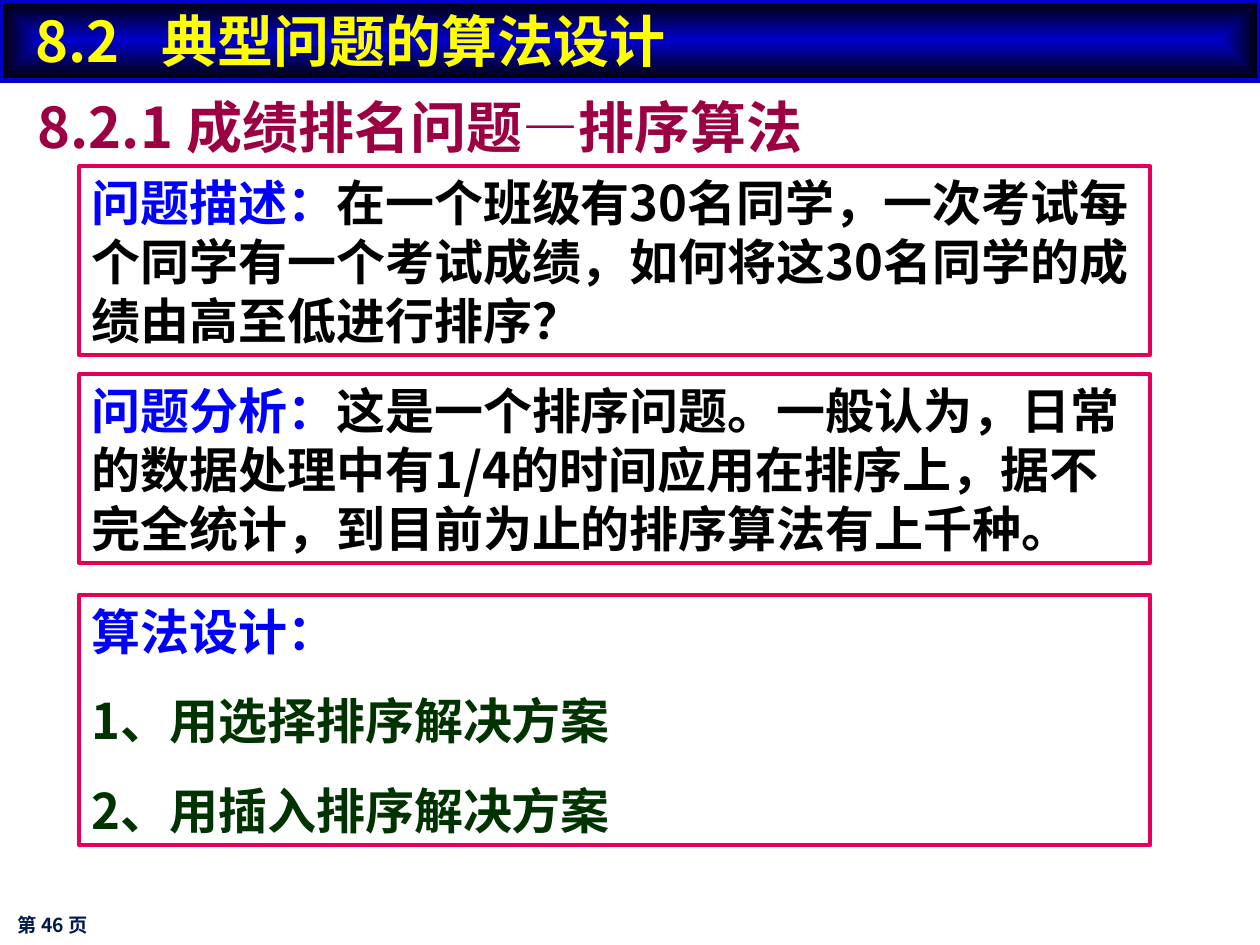
from pptx import Presentation
from pptx.dml.color import RGBColor
from pptx.enum import shapes, text
from pptx.oxml import parse_xml
from pptx.oxml.ns import nsdecls, qn
from pptx.util import Inches, Pt

SANS, HEAD = "Noto Sans CJK SC", "Noto Sans CJK JP"
BLUE, BLACK, GREEN = "0000FF", "000000", "003300"
NAVY, YELLOW, WINE, PINK, INK = "0000CC", "FFFF00", "9C0042", "E40059", "001A4F"

TITLE = "8.2\t典型问题的算法设计"
TOPIC = "8.2.1 成绩排名问题—排序算法"
PAGE = "第 46 页"
# top, height, paragraphs of (text, colour) runs
BOXES = [
    (1.32, 1.5, [[
        ("问题描述：", BLUE),
        ("在一个班级有30名同学，一次考试每个同学有一个考试成绩，"
         "如何将这30名同学的成绩由高至低进行排序？", BLACK)]]),
    (2.97, 1.5, [[
        ("问题分析：", BLUE),
        ("这是一个排序问题。一般认为，日常的数据处理中有1/4的时间应用在排序上，"
         "据不完全统计，到目前为止的排序算法有上千种。", BLACK)]]),
    (4.72, 1.99, [
        [("算法设计：", BLUE)],
        [("1、用选择排序解决方案", GREEN)],
        [("2、用插入排序解决方案", GREEN)]]),
]


def rgb(code):
    return RGBColor.from_string(code)


def place(shape, left, top, width, height):
    shape.left, shape.top = Inches(left), Inches(top)
    shape.width, shape.height = Inches(width), Inches(height)


def write(shape, paras, size, face=SANS, gap=0, tab=None):
    """Fill a shape with bold, left-aligned paragraphs of coloured runs."""
    frame = shape.text_frame
    frame.word_wrap = True
    frame.auto_size = text.MSO_AUTO_SIZE.NONE
    frame.vertical_anchor = text.MSO_ANCHOR.MIDDLE
    for i, runs in enumerate(paras):
        para = frame.paragraphs[0] if i == 0 else frame.add_paragraph()
        para.alignment = text.PP_ALIGN.LEFT
        para.line_spacing = Pt(round(size * 1.2, 1))
        para.space_before = Pt(gap if i else 0)
        if tab:
            para._p.get_or_add_pPr().append(parse_xml(
                f'<a:tabLst {nsdecls("a")}>'
                f'<a:tab pos="{Inches(tab)}" algn="l"/></a:tabLst>'))
        font = para.font
        font.size, font.bold, font.name = Pt(size), True, face
        font._rPr.find(qn("a:latin")).addnext(
            parse_xml(f'<a:ea {nsdecls("a")} typeface="{face}"/>'))
        for words, color in runs:
            run = para.add_run()
            run.text = words
            run.font.color.rgb = rgb(color)


def glow(shape, inner, outer):
    """Shade a shape from its centre to its edges."""
    shape.fill.gradient()
    for stop, color, pos in zip(shape.fill.gradient_stops, (inner, outer), (0, 1)):
        stop.color.rgb, stop.position = rgb(color), pos
    grad = shape._element.spPr.find(qn("a:gradFill"))
    grad.remove(grad.find(qn("a:lin")))
    grad.append(parse_xml(
        f'<a:path {nsdecls("a")} path="rect">'
        '<a:fillToRect l="50000" t="50000" r="50000" b="50000"/></a:path>'))


def edge(shape, color, width):
    shape.line.color.rgb, shape.line.width = rgb(color), Pt(width)


def main():
    deck = Presentation()
    deck.slide_width, deck.slide_height = Inches(10), Inches(7.5)
    slide = deck.slides.add_slide(deck.slide_layouts[5])

    title = slide.shapes.title
    place(title, 0, 0, 10, 0.64)
    glow(title, NAVY, BLACK)
    edge(title, NAVY, 3)
    write(title, [[(TITLE, YELLOW)]], 32, HEAD, tab=1)
    title.text_frame.margin_left = Inches(0.28)

    lines = [(TOPIC, WINE, 32, (0.2, 0.68, 6.69, 0.64)),
             (PAGE, INK, 11, (0.04, 7.15, 2.67, 0.38))]
    for words, color, size, spot in lines:
        label = slide.shapes.add_textbox(*map(Inches, spot))
        write(label, [[(words, color)]], size)

    for top, height, paras in BOXES:
        box = slide.shapes.add_shape(
            shapes.MSO_SHAPE.RECTANGLE,
            *map(Inches, (0.63, top, 8.5, height)))
        box.shadow.inherit = False
        box.fill.background()
        edge(box, PINK, 2.25)
        write(box, paras, 28, gap=17.5)

    deck.save("out.pptx")


if __name__ == "__main__":
    main()
